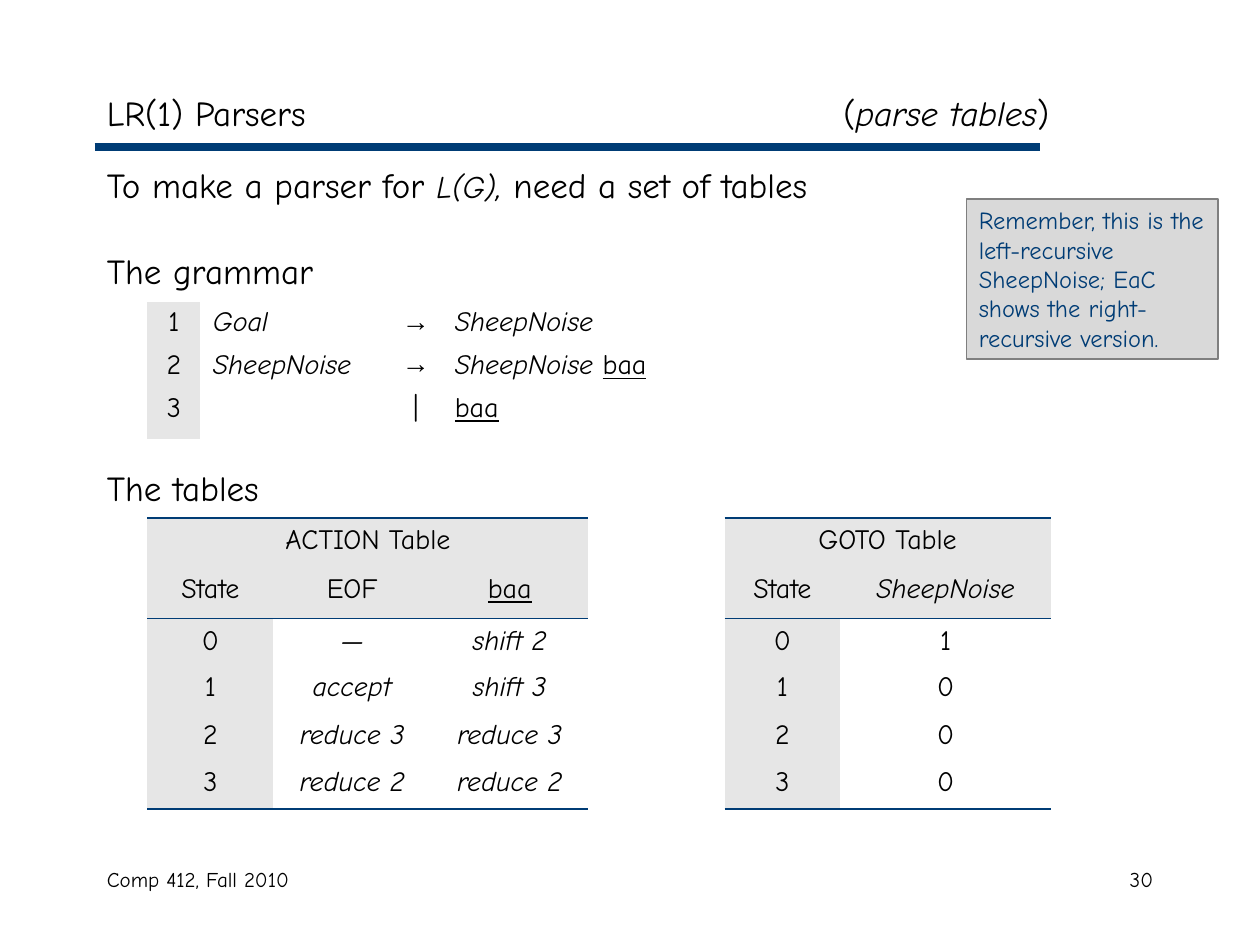
import lxml.etree
import pptx
import pptx.dml.color
import pptx.enum.shapes
import pptx.enum.text
import pptx.oxml.ns
import pptx.util

Inches = pptx.util.Inches
Pt = pptx.util.Pt
ALIGN = pptx.enum.text.PP_ALIGN
FONT = "Comic Neue"
BLACK, NAVY, WHITE = "000000", "003C75", "FFFFFF"
HEADER_GRAY, NOTE_GRAY, NOTE_EDGE = "E6E6E6", "D9D9D9", "7F7F7F"
NO_STYLE_NO_GRID = "{2D5ABB26-0587-4C30-8999-92F81FD0307C}"


def color(hex_string):
    return pptx.dml.color.RGBColor.from_string(hex_string)


def add_element(parent, tag, **attributes):
    element = lxml.etree.SubElement(parent, pptx.oxml.ns.qn(tag))
    for name, value in attributes.items():
        element.set(name, str(value))
    return element


def write_runs(paragraph, runs, size, align=ALIGN.LEFT, text_color=BLACK):
    """Write (text, style) pairs; a style holds i for italic and u for underline."""
    paragraph.alignment = align
    for text, style in runs:
        run = paragraph.add_run()
        run.text = text
        run.font.name = "Arial" if text == "→" else FONT
        run.font.size = Pt(size)
        run.font.italic = "i" in style
        run.font.underline = "u" in style
        run.font.color.rgb = color(text_color)


def add_text_box(slide, left, top, width, height):
    box = slide.shapes.add_textbox(Inches(left), Inches(top), Inches(width), Inches(height))
    box.text_frame.word_wrap = True
    return box.text_frame


def add_title(slide, left, top, width, height):
    frame = add_text_box(slide, left, top, width, height)
    frame.vertical_anchor = pptx.enum.text.MSO_ANCHOR.MIDDLE
    paragraph = frame.paragraphs[0]
    tab_list = add_element(paragraph._p.get_or_add_pPr(), "a:tabLst")
    add_element(tab_list, "a:tab", pos=Inches(7.48), algn="r")
    write_runs(paragraph, [("LR(1) Parsers\t(", ""), ("parse tables", "i"), (")", "")], 20)


def add_title_rule(slide, left, top, width):
    rule = slide.shapes.add_connector(
        pptx.enum.shapes.MSO_CONNECTOR.STRAIGHT,
        Inches(left), Inches(top), Inches(left + width), Inches(top))
    rule.line.color.rgb = color(NAVY)
    rule.line.width = Pt(4.5)
    add_element(rule._element.spPr, "a:effectLst")


def add_headings(slide, left, top, width, height):
    frame = add_text_box(slide, left, top, width, height)
    opening = frame.paragraphs[0]
    write_runs(opening, [("To make a parser for ", "")], 20)
    write_runs(opening, [("L(G)", "i")], 18)
    write_runs(opening, [(", ", "i"), ("need a set of tables", "")], 20)
    for heading, space_before in (("The grammar", 25), ("The tables", 100)):
        paragraph = frame.add_paragraph()
        paragraph.space_before = Pt(space_before)
        write_runs(paragraph, [(heading, "")], 20)


def add_note(slide, left, top, width, height):
    note = slide.shapes.add_shape(
        pptx.enum.shapes.MSO_SHAPE.RECTANGLE,
        Inches(left), Inches(top), Inches(width), Inches(height))
    note.shadow.inherit = False
    note.fill.solid()
    note.fill.fore_color.rgb = color(NOTE_GRAY)
    note.line.color.rgb = color(NOTE_EDGE)
    note.line.width = Pt(1)
    note.text_frame.word_wrap = True
    note.text_frame.vertical_anchor = pptx.enum.text.MSO_ANCHOR.TOP
    text = ("Remember, this is the left-recursive SheepNoise; "
            "EaC shows the right-recursive version.")
    write_runs(note.text_frame.paragraphs[0], [(text, "")], 14, text_color=NAVY)


def add_footer(slide, left, top, width, height, text, align):
    frame = add_text_box(slide, left, top, width, height)
    write_runs(frame.paragraphs[0], [(text, "")], 12, align)


def add_plain_table(slide, left, top, column_widths, row_heights):
    table = slide.shapes.add_table(
        len(row_heights), len(column_widths), Inches(left), Inches(top),
        Inches(sum(column_widths)), Inches(sum(row_heights))).table
    table.first_row = table.horz_banding = False
    table._tbl.tblPr.find(pptx.oxml.ns.qn("a:tableStyleId")).text = NO_STYLE_NO_GRID
    for column, width in zip(table.columns, column_widths):
        column.width = Inches(width)
    for row, height in zip(table.rows, row_heights):
        row.height = Inches(height)
    return table


def fill_cell(cell, hex_string):
    cell.fill.solid()
    cell.fill.fore_color.rgb = color(hex_string)


def set_border(cell, tag, width):
    properties = cell._tc.get_or_add_tcPr()
    border = add_element(properties, tag, w=Pt(width))
    add_element(add_element(border, "a:solidFill"), "a:srgbClr", val=NAVY)
    properties.insert(0, border)


def add_grammar(slide, left, top):
    rules = [
        ([("Goal", "i")], "→", [("SheepNoise", "i")]),
        ([("SheepNoise", "i")], "→", [("SheepNoise ", "i"), ("baa", "u")]),
        ([], "|", [("baa", "u")]),
    ]
    table = add_plain_table(slide, left, top, [0.42, 1.5, 0.42, 2], [0.34, 0.34, 0.37])
    for row, (symbol, sign, production) in enumerate(rules):
        contents = [[(str(row + 1), "")], symbol, [(sign, "")], production]
        for column, runs in enumerate(contents):
            cell = table.cell(row, column)
            if column == 0:
                fill_cell(cell, HEADER_GRAY)
            else:
                cell.fill.background()
            paragraph = cell.text_frame.paragraphs[0]
            paragraph.line_spacing = 0.9
            write_runs(paragraph, runs, 16, ALIGN.LEFT if column % 2 else ALIGN.CENTER)


def add_parse_table(slide, left, top, column_widths, title, headers, rows, entry_style):
    """Place a titled table of parser states; headers are (text, style) pairs."""
    table = add_plain_table(slide, left, top, column_widths,
                            [0.39, 0.41, 0.37, 0.38, 0.37, 0.39])
    grid = [[(title, "")] + [None] * (len(headers) - 1), [("State", "")] + headers[1:]]
    for state, entries in enumerate(rows):
        grid.append([(str(state), "")] + [(entry, entry_style) for entry in entries])
    borders = {0: ("a:lnT", 1.08), 1: ("a:lnB", 0.45), len(grid) - 1: ("a:lnB", 1.08)}
    for row, contents in enumerate(grid):
        for column, content in enumerate(contents):
            cell = table.cell(row, column)
            fill_cell(cell, HEADER_GRAY if row < 2 or column == 0 else WHITE)
            if row in borders:
                set_border(cell, *borders[row])
            if content:
                write_runs(cell.text_frame.paragraphs[0], [content], 16, ALIGN.CENTER)
    table.cell(0, 0).merge(table.cell(0, len(headers) - 1))


def main():
    presentation = pptx.Presentation()
    presentation.slide_width, presentation.slide_height = Inches(10), Inches(7.5)
    slide = presentation.slides.add_slide(presentation.slide_layouts[6])
    add_title_rule(slide, 0.75, 1.17, 7.5)
    add_footer(slide, 0.75, 6.83, 3.17, 0.5, "Comp 412, Fall 2010", ALIGN.LEFT)
    add_footer(slide, 7.17, 6.83, 2.08, 0.5, "30", ALIGN.RIGHT)
    add_headings(slide, 0.75, 1.25, 8.5, 5.42)
    add_title(slide, 0.75, 0.6, 8.5, 0.58)
    add_note(slide, 7.67, 1.58, 2, 1.27)
    add_grammar(slide, 1.17, 2.4)
    add_parse_table(
        slide, 1.17, 4.11, [1, 1.25, 1.25], "ACTION Table",
        [("State", ""), ("EOF", ""), ("baa", "u")],
        [("—", "shift 2"), ("accept", "shift 3"),
         ("reduce 3", "reduce 3"), ("reduce 2", "reduce 2")], "i")
    add_parse_table(
        slide, 5.75, 4.11, [0.92, 1.67], "GOTO Table",
        [("State", ""), ("SheepNoise", "i")], ["1", "0", "0", "0"], "")
    presentation.save("out.pptx")


if __name__ == "__main__":
    main()
